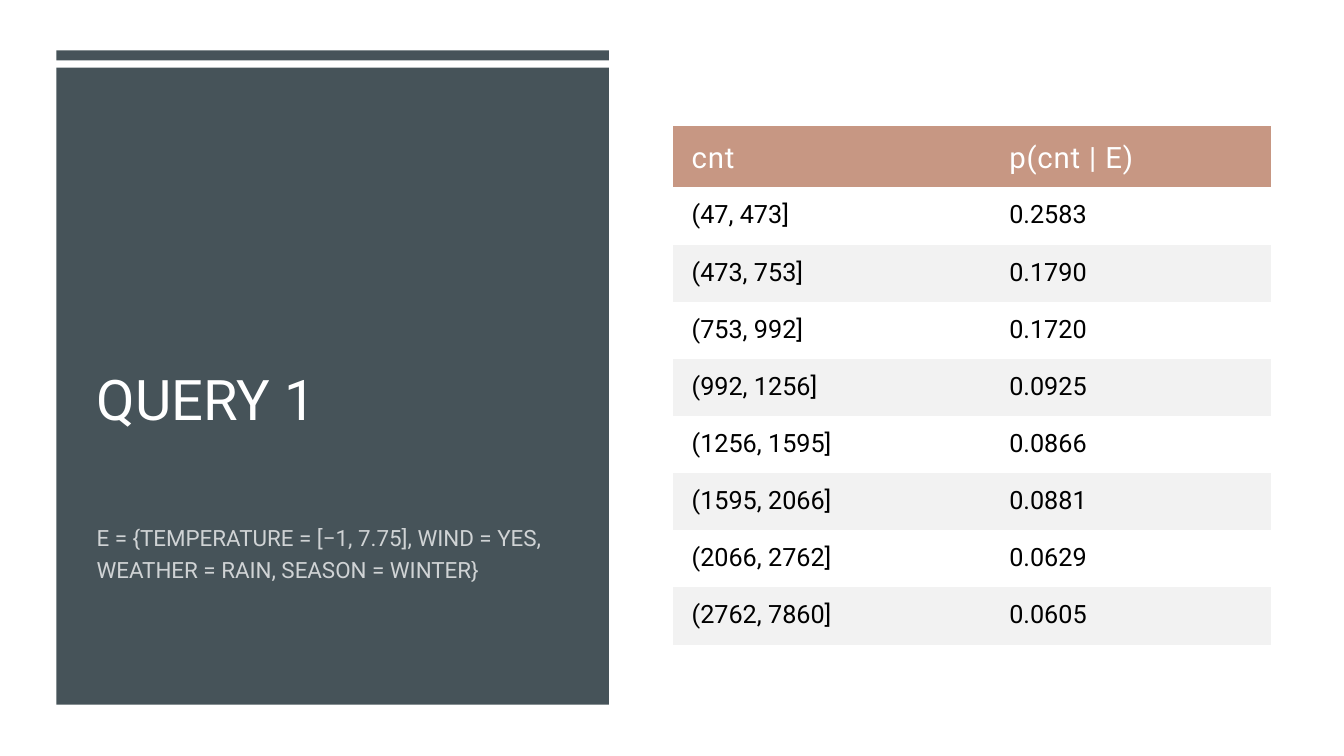
"""Build a slide with a query panel beside its table of conditional probabilities."""
from typing import NamedTuple

from lxml.etree import SubElement
from pptx import Presentation
from pptx.dml.color import RGBColor
from pptx.enum.shapes import MSO_SHAPE as Shape
from pptx.enum.text import MSO_ANCHOR as Anchor, MSO_AUTO_SIZE as AutoSize, PP_ALIGN as Align
from pptx.oxml.ns import qn
from pptx.util import Inches, Pt

WHITE = RGBColor(0xFF, 0xFF, 0xFF)
BLACK = RGBColor(0x00, 0x00, 0x00)
SLATE = RGBColor(0x46, 0x53, 0x59)
CLAY = RGBColor(0xC7, 0x97, 0x83)
MIST = RGBColor(0xF2, 0xF2, 0xF2)
FONT = "Roboto"

PANEL_LEFT, PANEL_WIDTH = 0.56, 5.48
TEXT_LEFT, TEXT_WIDTH = 0.86, 4.9
TABLE_LEFT, TABLE_TOP = 6.67, 1.25
COLUMN_WIDTHS = (3.15, 2.79)
HEADER_HEIGHT, ROW_HEIGHT = 0.61, 0.567

EVIDENCE = "E = {TEMPERATURE = [−1, 7.75], WIND = YES, WEATHER = RAIN, SEASON = WINTER}"
HEADER = ("cnt", "p(cnt | E)")
BIN_EDGES = (47, 473, 753, 992, 1256, 1595, 2066, 2762, 7860)
PROBABILITIES = (0.2583, 0.1790, 0.1720, 0.0925, 0.0866, 0.0881, 0.0629, 0.0605)


class Band(NamedTuple):
    """A slate band of the panel, in inches from the top."""
    top: float
    height: float


class Style(NamedTuple):
    """The look of a piece of text."""
    size: float
    color: RGBColor
    tracking: int = 0
    opacity: int = 100


BANDS = (Band(0.5, 0.1), Band(0.67, 6.32))
TITLE = Style(40, WHITE)
SUBTITLE = Style(16, WHITE, opacity=75)
TABLE_HEAD = Style(21, WHITE, tracking=60)
TABLE_BODY = Style(18, BLACK)


def draw_band(page, band: Band) -> None:
    """Draw one plain band of the panel."""
    shape = page.shapes.add_shape(
        Shape.RECTANGLE, Inches(PANEL_LEFT), Inches(band.top),
        Inches(PANEL_WIDTH), Inches(band.height))
    shape.shadow.inherit = False
    shape.fill.solid()
    shape.fill.fore_color.rgb = SLATE
    shape.line.fill.background()


def write(frame, text: str, style: Style):
    """Put styled text in a frame and return its paragraph."""
    frame.text = text
    para = frame.paragraphs[0]
    para.alignment = Align.LEFT
    span = para.runs[0]
    font = span.font
    font.name, font.size, font.color.rgb = FONT, Pt(style.size), style.color
    properties = span._r.get_or_add_rPr()
    if style.tracking:
        properties.set("spc", str(style.tracking))
    if style.opacity < 100:
        color = properties.find(f"{qn('a:solidFill')}/{qn('a:srgbClr')}")
        SubElement(color, qn("a:alpha")).set("val", str(style.opacity * 1000))
    return para


def draw_title(page) -> None:
    """Place the title above the middle of the panel."""
    title = page.shapes.title
    title.left, title.top = Inches(TEXT_LEFT), Inches(1.32)
    title.width, title.height = Inches(TEXT_WIDTH), Inches(3.67)
    frame = title.text_frame
    write(frame, "QUERY 1", TITLE).line_spacing = 0.9
    frame.auto_size = AutoSize.NONE
    frame.vertical_anchor = Anchor.BOTTOM
    frame.margin_bottom = Inches(0.7)


def draw_evidence(page) -> None:
    """Place the evidence of the query below the title."""
    box = page.shapes.add_textbox(
        Inches(TEXT_LEFT), Inches(5.1), Inches(TEXT_WIDTH), Inches(1.34))
    box.text_frame.word_wrap = True
    para = write(box.text_frame, EVIDENCE, SUBTITLE)
    para.line_spacing = 1.2
    para.space_before, para.space_after = Pt(3.2), Pt(6)


def draw_table(page) -> None:
    """Draw the table of count bins and their probabilities."""
    bins = zip(BIN_EDGES, BIN_EDGES[1:], PROBABILITIES)
    rows = [HEADER, *((f"({low}, {high}]", f"{chance:.4f}") for low, high, chance in bins)]
    height = HEADER_HEIGHT + ROW_HEIGHT * len(PROBABILITIES)
    table = page.shapes.add_table(
        len(rows), len(HEADER), Inches(TABLE_LEFT), Inches(TABLE_TOP),
        Inches(sum(COLUMN_WIDTHS)), Inches(height)).table
    for column, width in zip(table.columns, COLUMN_WIDTHS):
        column.width = Inches(width)
    for index, texts in enumerate(rows):
        is_head = index == 0
        table.rows[index].height = Inches(HEADER_HEIGHT if is_head else ROW_HEIGHT)
        fill = CLAY if is_head else (WHITE, MIST)[(index + 1) % 2]
        for cell, text in zip(table.rows[index].cells, texts):
            cell.fill.solid()
            cell.fill.fore_color.rgb = fill
            cell.margin_left = cell.margin_right = Inches(0.19)
            cell.margin_top, cell.margin_bottom = Inches(0.13), Inches(0.09)
            cell.vertical_anchor = Anchor.MIDDLE if is_head else Anchor.TOP
            para = write(cell.text_frame, text, TABLE_HEAD if is_head else TABLE_BODY)
            para.runs[0].font.bold = False
    borders = table._tbl.tblPr
    borders.find(qn("a:tableStyleId")).text = "{2D5ABB26-0587-4C30-8999-92F81FD0307C}"


def main() -> None:
    """Build and save the deck."""
    deck = Presentation()
    deck.slide_width, deck.slide_height = Inches(13.33), Inches(7.5)
    page = deck.slides.add_slide(deck.slide_layouts.get_by_name("Title Only"))
    for band in BANDS:
        draw_band(page, band)
    title = page.shapes.title
    page.shapes._spTree.append(title._element)
    draw_title(page)
    draw_evidence(page)
    draw_table(page)
    deck.save("out.pptx")


main()
